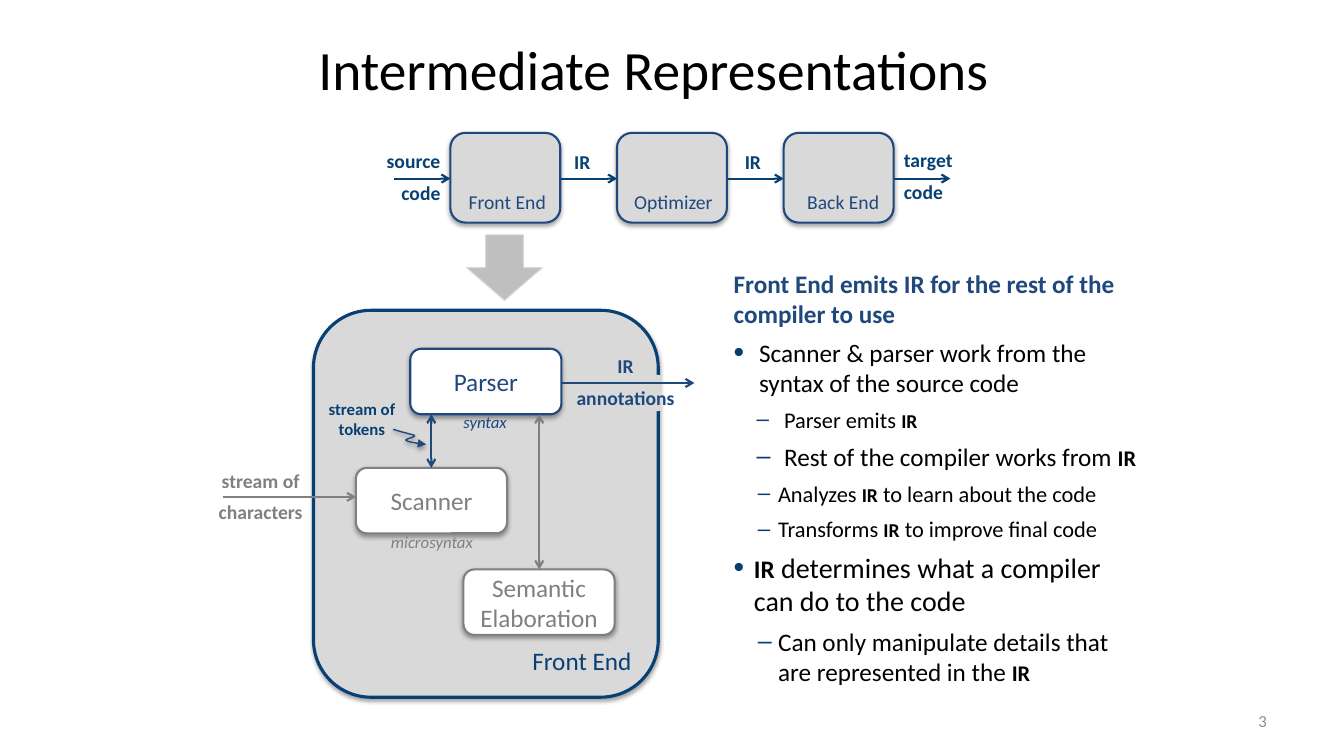
from lxml import etree
from pptx import Presentation
from pptx import util as u
from pptx.dml.color import RGBColor
from pptx.enum import shapes, text
from pptx.oxml.ns import qn

BLACK = RGBColor(0x00, 0x00, 0x00)
WHITE = RGBColor(0xFF, 0xFF, 0xFF)
PANEL = RGBColor(0xD9, 0xD9, 0xD9)
SILVER = RGBColor(0xBF, 0xBF, 0xBF)
PAGE_GREY = RGBColor(0x8C, 0x8C, 0x8C)
MUTED = RGBColor(0x80, 0x80, 0x80)
NAVY = RGBColor(0x07, 0x40, 0x73)
BLUE = RGBColor(0x1F, 0x49, 0x7D)

LEFT, CENTER, RIGHT = text.PP_ALIGN.LEFT, text.PP_ALIGN.CENTER, text.PP_ALIGN.RIGHT
TOP, MIDDLE, BOTTOM = text.MSO_ANCHOR.TOP, text.MSO_ANCHOR.MIDDLE, text.MSO_ANCHOR.BOTTOM
ROUNDED = shapes.MSO_SHAPE.ROUNDED_RECTANGLE


def cm(*values):
    return [u.Cm(value) for value in values]


def style_run(paragraph, wording, size, color, bold=False, italic=False):
    run = paragraph.add_run()
    run.text = wording
    font = run.font
    font.name, font.size, font.bold, font.italic = "Calibri", u.Pt(size), bold, italic
    font.color.rgb = color


def write(frame, wording, size=14, color=NAVY, bold=False, italic=False,
          align=LEFT, anchor=TOP, gap=0):
    frame.word_wrap = True
    frame.vertical_anchor = anchor
    for number, line in enumerate(wording.split("\n")):
        paragraph = frame.add_paragraph() if number else frame.paragraphs[0]
        paragraph.alignment = align
        if number and gap:
            paragraph.space_before = u.Pt(gap)
        style_run(paragraph, line, size, color, bold, italic)


def label(slide, place, wording, **style):
    write(slide.shapes.add_textbox(*cm(*place)).text_frame, wording, **style)


def shade(shape, opacity=35000, distance=23000):
    shape.shadow.inherit = False
    effects = shape.element.spPr.find(qn("a:effectLst"))
    shadow = etree.SubElement(effects, qn("a:outerShdw"), blurRad="40000",
                              dist=str(distance), dir="5400000", rotWithShape="0")
    tone = etree.SubElement(shadow, qn("a:srgbClr"), val="000000")
    etree.SubElement(tone, qn("a:alpha"), val=str(opacity))


def block(slide, place, fill, outline=None, weight=1.5, kind=ROUNDED, shaded=True):
    shape = slide.shapes.add_shape(kind, *cm(*place))
    shape.fill.solid()
    shape.fill.fore_color.rgb = fill
    if outline is None:
        shape.line.fill.background()
    else:
        shape.line.color.rgb = outline
        shape.line.width = u.Pt(weight)
    shape.shadow.inherit = False
    if shaded:
        shade(shape)
    return shape.text_frame


def add_ends(shape, *ends, kind="arrow"):
    outline = shape.element.spPr.find(qn("a:ln"))
    for end in ends:
        etree.SubElement(outline, qn(f"a:{end}"), type=kind)


def arrow(slide, start, end, color, both=False):
    link = slide.shapes.add_connector(shapes.MSO_CONNECTOR.STRAIGHT, *cm(*start, *end))
    link.line.color.rgb = color
    link.line.width = u.Pt(1.5)
    add_ends(link, *(["headEnd", "tailEnd"] if both else ["tailEnd"]))
    etree.SubElement(link.element.spPr, qn("a:effectLst"))


def bezier(points, steps=12):
    for step in range(1, steps + 1):
        t = step / steps
        weights = ((1 - t) ** 3, 3 * t * (1 - t) ** 2, 3 * t * t * (1 - t), t ** 3)
        yield cm(*(sum(w * p[axis] for w, p in zip(weights, points)) for axis in (0, 1)))


def squiggle(slide, points, color):
    builder = slide.shapes.build_freeform(*cm(*points[0]))
    for first in range(0, len(points) - 1, 3):
        builder.add_line_segments(list(bezier(points[first:first + 4])), close=False)
    curve = builder.convert_to_shape()
    curve.fill.background()
    curve.line.color.rgb = color
    curve.line.width = u.Pt(1)
    add_ends(curve, "tailEnd", kind="triangle")
    shade(curve, 38000, 20000)


def bullet(frame, wording, size, level, indent, hanging):
    paragraph = frame.add_paragraph()
    paragraph.level = level
    paragraph.space_before = u.Pt(6)
    properties = paragraph._p.get_or_add_pPr()
    properties.set("marL", str(u.Cm(indent)))
    properties.set("indent", str(-u.Cm(hanging)))
    tint = etree.SubElement(properties, qn("a:buClr"))
    etree.SubElement(tint, qn("a:srgbClr"), val="073E74")
    if level == 0:
        etree.SubElement(properties, qn("a:buSzPct"), val="120000")
    etree.SubElement(properties, qn("a:buFont"), typeface="Arial")
    etree.SubElement(properties, qn("a:buChar"), char="–" if level else "•")
    before, term, after = wording.partition("IR")
    for part, part_size, bold in ((before, size, False), (term, size - 2, True),
                                  (after, size, False)):
        if part:
            style_run(paragraph, part, part_size, BLACK, bold)


def draw_pipeline(slide):
    step = 4.2
    for number, phase in enumerate(("Front End", "Optimizer", "Back End")):
        frame = block(slide, (11.35 + number * step, 3.35, 2.77, 2.26), PANEL, BLUE)
        write(frame, phase, color=BLUE, align=RIGHT, anchor=BOTTOM)
    for number in range(4):
        x = 9.93 + number * step
        arrow(slide, (x, 4.5), (x + 1.42, 4.5), NAVY)
    for x in (14.22, 18.52):
        label(slide, (x, 3.66, 1.02, 0.86), "IR", bold=True)
    label(slide, (9.27, 3.63, 2.08, 1.68), "source\ncode", bold=True, align=RIGHT, gap=6)
    label(slide, (22.53, 3.61, 2.08, 1.68), "target\ncode", bold=True, gap=6)


def draw_front_end(slide):
    label(slide, (5.16, 11.68, 2.82, 1.68), "stream of\ncharacters",
          color=MUTED, bold=True, align=CENTER, gap=6)
    panel = block(slide, (7.9, 7.82, 8.69, 9.75), PANEL, NAVY, 2.25)
    write(panel, "Front End", size=18, align=RIGHT, anchor=BOTTOM)
    for stage, x, y, color in (("Scanner", 8.97, 11.79, MUTED),
                               ("Parser", 10.34, 8.79, BLUE),
                               ("Semantic Elaboration", 11.68, 14.35, MUTED)):
        frame = block(slide, (x, y, 3.81, 1.65), WHITE, color)
        write(frame, stage, size=18, color=color, align=CENTER, anchor=MIDDLE)
    arrow(slide, (5.61, 12.52), (8.97, 12.52), MUTED)
    for level, x, y, color in (("microsyntax", 9.02, 13.28, MUTED),
                               ("syntax", 10.36, 10.26, BLUE)):
        label(slide, (x, y, 3.73, 0.76), level, size=12, color=color,
              italic=True, align=CENTER)
    arrow(slide, (10.87, 10.44), (10.87, 11.79), BLUE, both=True)
    arrow(slide, (13.59, 14.35), (13.59, 10.44), MUTED, both=True)
    block(slide, (16.36, 9.45, 0.3, 0.91), PANEL, shaded=False)
    label(slide, (14.15, 8.79, 3.23, 1.68), "IR\nannotations",
          color=BLUE, bold=True, align=CENTER, gap=6)
    label(slide, (7.75, 9.93, 2.74, 1.27), "stream of\ntokens",
          size=12, bold=True, align=CENTER)
    squiggle(slide, [(9.91, 10.82), (10.16, 10.9), (10.39, 10.95), (10.44, 10.97),
                     (10.49, 11.02), (10.16, 11.07), (10.24, 11.1),
                     (10.29, 11.15), (10.74, 11.2), (10.74, 11.2)], BLUE)
    arrow(slide, (14.15, 9.65), (17.5, 9.65), BLUE)


def draw_explanation(slide):
    frame = slide.shapes.add_textbox(*cm(18.24, 6.63, 10.9, 11.79)).text_frame
    write(frame, "Front End emits IR for the rest of the compiler to use",
          size=18, color=BLUE, bold=True)
    for point in (
        ("Scanner & parser work from the syntax of the source code", 18, 0, 0.64, 0.64),
        ("Parser emits IR", 16, 1, 1.27, 0.69),
        ("Rest of the compiler works from IR", 18, 1, 1.27, 0.69),
        ("Analyzes IR to learn about the code", 16, 1, 1.12, 0.51),
        ("Transforms IR to improve final code", 16, 1, 1.12, 0.51),
        ("IR determines what a compiler can do to the code", 20, 0, 0.51, 0.51),
        ("Can only manipulate details that are represented in the IR", 18, 1, 1.12, 0.51),
    ):
        bullet(frame, *point)


def main():
    deck = Presentation()
    deck.slide_width, deck.slide_height = cm(33.87, 19.05)
    slide = deck.slides.add_slide(deck.slide_layouts[5])
    title = slide.shapes.title
    title.left, title.top, title.width, title.height = cm(1.7, 0.76, 30.48, 1.93)
    title.text_frame.margin_right = u.Cm(1.2)
    write(title.text_frame, "Intermediate Representations", size=39.6, color=BLACK,
          align=CENTER, anchor=MIDDLE)
    label(slide, (24.28, 17.65, 7.9, 1.02), "3", size=12, color=PAGE_GREY,
          align=RIGHT, anchor=MIDDLE)
    draw_pipeline(slide)
    block(slide, (11.76, 5.92, 1.91, 1.65), SILVER, PANEL, 0.75,
          shapes.MSO_SHAPE.DOWN_ARROW, shaded=False)
    draw_explanation(slide)
    draw_front_end(slide)
    deck.save("out.pptx")


if __name__ == "__main__":
    main()
